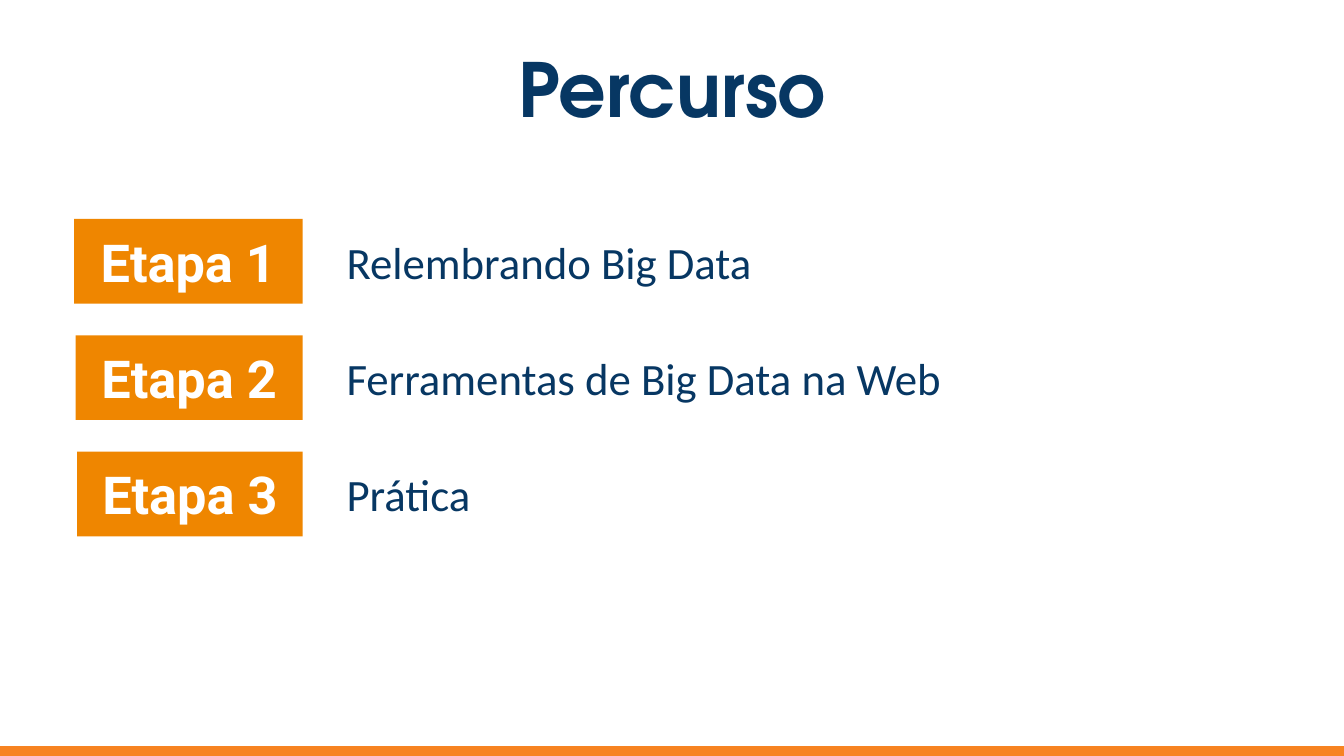
from dataclasses import dataclass

from pptx import Presentation
from pptx.dml.color import RGBColor
from pptx.enum import shapes, text
from pptx.util import Cm, Pt

HEADING = "Percurso"
STAGES = [
    ("Etapa 1", "Relembrando Big Data", 9.17),
    ("Etapa 2", "Ferramentas de Big Data na Web", 12.04),
    ("Etapa 3", "Prática", 9.98),
]


@dataclass(frozen=True)
class Style:
    font: str
    size: int
    color: str
    bold: bool = False


class Theme:
    heading = Style("TeX Gyre Adventor", 40, "073763", True)
    stage = Style("Roboto", 28, "FFFFFF", True)
    topic = Style("Calibri", 24, "073763")
    stage_fill = "EF8600"
    footer_fill = "F78321"


SLIDE_W, SLIDE_H = 25.4, 14.29
FIRST_TOP, ROW_STEP = 4.14, 2.2
STAGE_LEFT, STAGE_STEP, STAGE_RIGHT, STAGE_H = 1.4, 0.03, 5.72, 1.6
TOPIC_LEFT, TOPIC_H = 6.3, 1.28
FOOTER_H = 0.17


def write(shape, words, style, align, anchor, inset):
    frame = shape.text_frame
    frame.word_wrap = True
    frame.vertical_anchor = anchor
    frame.margin_left = frame.margin_right = Cm(0.25)
    frame.margin_top = frame.margin_bottom = Cm(inset)
    paragraph = frame.paragraphs[0]
    paragraph.text = words
    paragraph.alignment = align
    font = paragraph.font
    font.name, font.size, font.bold = style.font, Pt(style.size), style.bold
    font.color.rgb = RGBColor.from_string(style.color)


def add_bar(slide, left, top, width, height, fill):
    bar = slide.shapes.add_shape(
        shapes.MSO_SHAPE.RECTANGLE, Cm(left), Cm(top), Cm(width), Cm(height)
    )
    bar.shadow.inherit = False
    bar.fill.solid()
    bar.fill.fore_color.rgb = RGBColor.from_string(fill)
    bar.line.fill.background()
    return bar


def main():
    deck = Presentation()
    deck.slide_width, deck.slide_height = Cm(SLIDE_W), Cm(SLIDE_H)
    slide = deck.slides.add_slide(deck.slide_layouts[6])
    center, left_align = text.PP_ALIGN.CENTER, text.PP_ALIGN.LEFT
    middle, top_anchor = text.MSO_ANCHOR.MIDDLE, text.MSO_ANCHOR.TOP

    footer = add_bar(
        slide, 0, SLIDE_H - FOOTER_H, SLIDE_W, FOOTER_H, Theme.footer_fill
    )
    footer.line.color.rgb = RGBColor.from_string(Theme.footer_fill)
    footer.line.width = Pt(0.75)

    heading = slide.shapes.add_textbox(Cm(0.86), Cm(0.84), Cm(23.68), Cm(1.65))
    write(heading, HEADING, Theme.heading, center, middle, 0.25)

    for row, (label, subject, subject_w) in enumerate(STAGES):
        top = FIRST_TOP + row * ROW_STEP
        left = STAGE_LEFT + row * STAGE_STEP
        stage = add_bar(
            slide, left, top, STAGE_RIGHT - left, STAGE_H, Theme.stage_fill
        )
        write(stage, label, Theme.stage, center, middle, 0.25)
        topic = slide.shapes.add_textbox(
            Cm(TOPIC_LEFT), Cm(top + (STAGE_H - TOPIC_H) / 2),
            Cm(subject_w), Cm(TOPIC_H),
        )
        write(topic, subject, Theme.topic, left_align, top_anchor, 0.13)

    deck.save("out.pptx")


if __name__ == "__main__":
    main()
